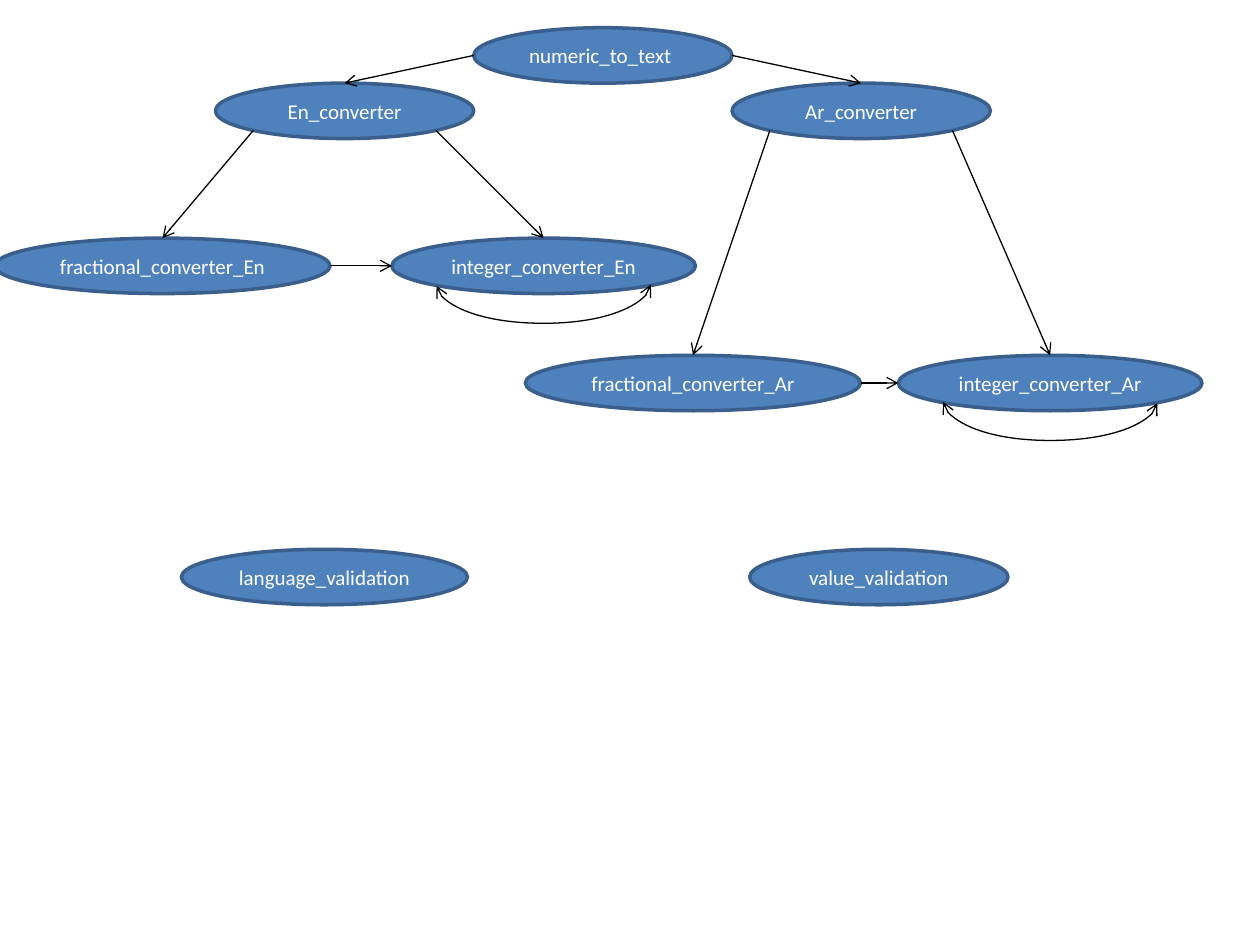
from dataclasses import dataclass
from math import sqrt

from lxml import etree
from pptx import Presentation
from pptx import util as u
from pptx.dml.color import RGBColor
from pptx.enum import shapes, text
from pptx.oxml.ns import qn

BLUE = RGBColor(0x4F, 0x81, 0xBD)
EDGE = RGBColor(0x3A, 0x5F, 0x8C)
WHITE = RGBColor(0xFF, 0xFF, 0xFF)
BLACK = RGBColor(0, 0, 0)
HIGH = 0.44
DIAG = sqrt(0.5)
SITES = {
    "top": (0, -1),
    "left": (-1, 0),
    "right": (1, 0),
    "low left": (-DIAG, DIAG),
    "low right": (DIAG, DIAG),
}
FONT = {"name": "Calibri", "size": u.Pt(12)}


@dataclass
class Node:
    label: str
    left: float
    top: float
    width: float = 2.05

    def site(self, name: str) -> tuple[float, float]:
        dx, dy = SITES[name]
        return (self.left + self.width / 2 * (1 + dx),
                self.top + HIGH / 2 * (1 + dy))


@dataclass
class Link:
    start: str
    site: str
    end: str
    port: str = "top"


@dataclass
class Loop:
    node: str
    turn: int
    flip: bool


NODES = {
    "root": Node(" numeric_to_text", 3.76, 0.22),
    "ar": Node("Ar_converter", 5.81, 0.66),
    "en": Node("En_converter", 1.71, 0.66),
    "lang": Node("language_validation", 1.44, 4.36, 2.27),
    "value": Node("value_validation", 5.95, 4.36),
    "int ar": Node("integer_converter_Ar", 7.13, 2.82, 2.41),
    "int en": Node("integer_converter_En", 3.11, 1.89, 2.41),
    "frac ar": Node("fractional_converter_Ar", 4.17, 2.82, 2.66),
    "frac en": Node("fractional_converter_En", -0.04, 1.89, 2.66),
}
LINKS = [
    Link("en", "low left", "frac en"),
    Link("en", "low right", "int en"),
    Link("root", "left", "en"),
    Link("root", "right", "ar"),
    Link("ar", "low left", "frac ar"),
    Link("ar", "low right", "int ar"),
    Link("frac en", "right", "int en", "left"),
    Link("frac ar", "right", "int ar", "left"),
]
LOOPS = [Loop("int ar", 270, True), Loop("int en", 90, False)]


def draw_node(slide, node: Node) -> None:
    oval = slide.shapes.add_shape(
        shapes.MSO_SHAPE.OVAL, u.Inches(node.left), u.Inches(node.top),
        u.Inches(node.width), u.Inches(HIGH))
    oval.shadow.inherit = False
    oval.fill.solid()
    oval.fill.fore_color.rgb = BLUE
    oval.line.color.rgb = EDGE
    oval.line.width = u.Pt(2)
    frame = oval.text_frame
    frame.vertical_anchor = text.MSO_ANCHOR.MIDDLE
    para = frame.paragraphs[0]
    para.alignment = text.PP_ALIGN.CENTER
    para._p.get_or_add_pPr().set("rtl", "1")
    run = para.add_run()
    run.text = node.label
    for key, value in FONT.items():
        setattr(run.font, key, value)
    run.font.color.rgb = WHITE


def draw_line(slide, kind, start: tuple[float, float],
              end: tuple[float, float], ends: tuple[str, ...]):
    line = slide.shapes.add_connector(
        kind, *(u.Inches(v) for v in (*start, *end)))
    line.line.color.rgb = BLACK
    line.line.width = u.Pt(0.75)
    stroke = line.line._get_or_add_ln()
    for name in ends:
        etree.SubElement(stroke, qn(f"a:{name}")).set("type", "arrow")
    etree.SubElement(line._element.spPr, qn("a:effectLst"))
    return line


def draw_loop(slide, loop: Loop) -> None:
    node = NODES[loop.node]
    mid = node.left + node.width / 2
    low = node.site("low left")[1]
    thin, span, drop = 0.01, 1.7, 0.31
    xs = [mid - thin / 2, mid + thin / 2]
    if loop.flip:
        xs.reverse()
    line = draw_line(slide, shapes.MSO_CONNECTOR.CURVE,
                     (xs[0], low - span / 2), (xs[1], low + span / 2),
                     ("headEnd", "tailEnd"))
    props = line._element.spPr
    props.find(qn("a:xfrm")).set("rot", str(loop.turn * 60000))
    geom = props.find(qn("a:prstGeom"))
    guides = geom.find(qn("a:avLst"))
    if guides is None:
        guides = etree.SubElement(geom, qn("a:avLst"))
    guide = etree.SubElement(guides, qn("a:gd"))
    guide.set("name", "adj1")
    guide.set("fmla", f"val {round(drop / thin * 100000)}")


def main() -> None:
    deck = Presentation()
    deck.slide_width, deck.slide_height = u.Inches(10), u.Inches(7.5)
    slide = deck.slides.add_slide(deck.slide_layouts[6])
    for node in NODES.values():
        draw_node(slide, node)
    for link in LINKS:
        draw_line(slide, shapes.MSO_CONNECTOR.STRAIGHT,
                  NODES[link.start].site(link.site),
                  NODES[link.end].site(link.port), ("tailEnd",))
    for loop in LOOPS:
        draw_loop(slide, loop)
    deck.save("out.pptx")


main()
